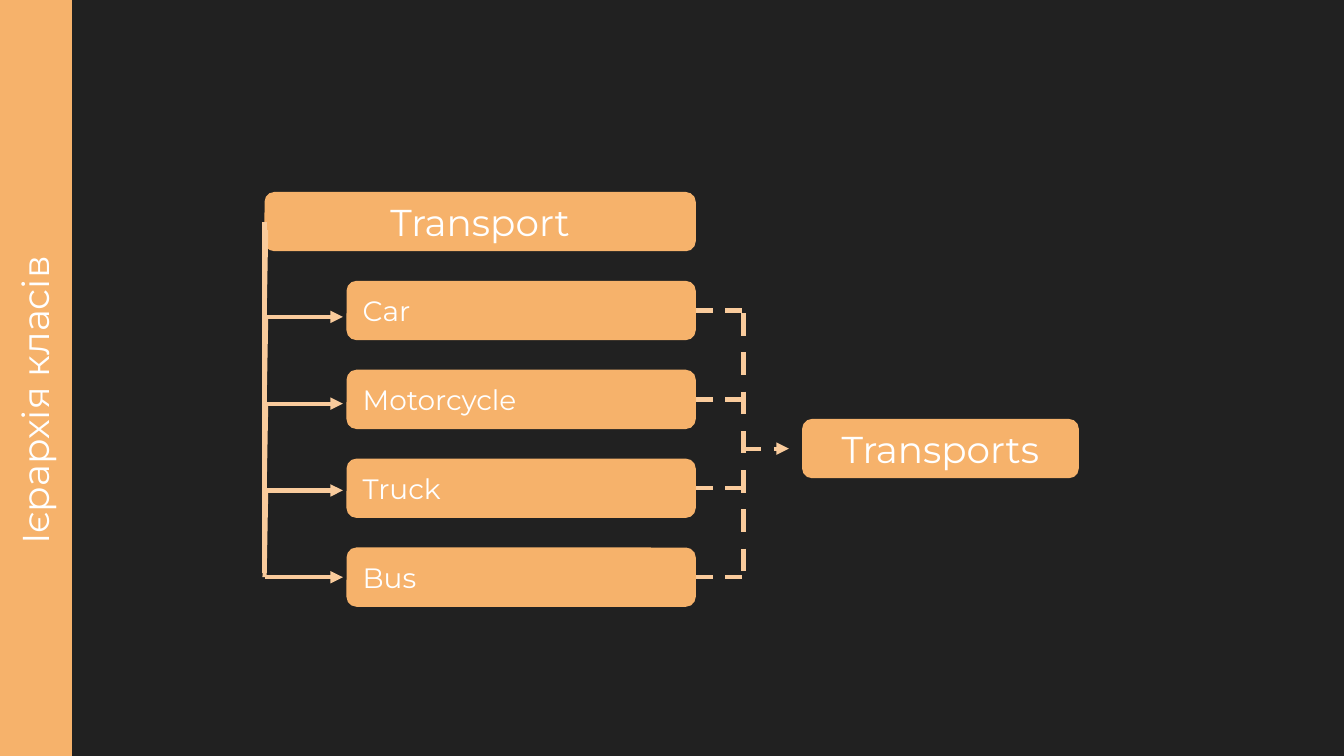
from dataclasses import dataclass
from lxml.etree import SubElement
from pptx import Presentation
from pptx.dml.color import RGBColor
from pptx.enum.dml import MSO_LINE
from pptx.enum.shapes import MSO_CONNECTOR, MSO_SHAPE
from pptx.enum.text import MSO_ANCHOR, PP_ALIGN
from pptx.oxml.ns import qn
from pptx.util import Cm, Pt


@dataclass(frozen=True)
class Theme:
    background: RGBColor = RGBColor(0x21, 0x21, 0x21)
    fill: RGBColor = RGBColor(0xF6, 0xB2, 0x6B)
    line: RGBColor = RGBColor(0xF9, 0xCB, 0x9C)
    text: RGBColor = RGBColor(0xFF, 0xFF, 0xFF)
    font: str = "Montserrat"
    large: float = 20
    small: float = 15
    thin: float = 2.25
    thick: float = 3


THEME = Theme()
BOX_H = 1.12
PITCH = 1.68


def add_text(sp, text, size=THEME.large, align=PP_ALIGN.CENTER, anchor=MSO_ANCHOR.MIDDLE):
    tf = sp.text_frame
    tf.word_wrap = True
    tf.vertical_anchor = anchor
    tf.margin_left = tf.margin_right = tf.margin_top = tf.margin_bottom = Cm(0.25)
    p = tf.paragraphs[0]
    p.alignment = align
    r = p.add_run()
    r.text = text
    r.font.name = THEME.font
    r.font.size = Pt(size)
    r.font.color.rgb = THEME.text


def add_block(s, x, y, w, h, kind=MSO_SHAPE.ROUNDED_RECTANGLE):
    sp = s.shapes.add_shape(kind, Cm(x), Cm(y), Cm(w), Cm(h))
    sp.shadow.inherit = False
    sp.fill.solid()
    sp.fill.fore_color.rgb = THEME.fill
    sp.line.fill.background()
    return sp


def add_line(s, x1, y1, x2, y2, width=THEME.thin, dashed=False, arrow=False):
    c = s.shapes.add_connector(MSO_CONNECTOR.STRAIGHT, Cm(x1), Cm(y1), Cm(x2), Cm(y2))
    c.line.color.rgb = THEME.line
    c.line.width = Pt(width)
    if dashed:
        c.line.dash_style = MSO_LINE.DASH
    if arrow:
        SubElement(c.line._get_or_add_ln(), qn("a:tailEnd"), type="triangle")
    SubElement(c._element.spPr, qn("a:effectLst"))
    return c


def add_sidebar(s, x, y, w, h, title):
    add_block(s, x, y, w, h, MSO_SHAPE.RECTANGLE)
    length, depth = 10.16, 1.37
    left = x + 0.76 - length / 2
    top = y + 7.6 - depth / 2
    sp = s.shapes.add_textbox(Cm(left), Cm(top), Cm(length), Cm(depth))
    sp.rotation = 270
    add_text(sp, title, anchor=MSO_ANCHOR.TOP)


def add_hierarchy(s, x, y, w, parent, children):
    root = add_block(s, x, y, w, BOX_H)
    add_text(root, parent)
    indent, step = 1.55, 1.64
    boxes = []
    for i, name in enumerate(children):
        sp = add_block(s, x + indent, y + (i + 1) * PITCH, w - indent, BOX_H)
        add_text(sp, name, size=THEME.small, align=PP_ALIGN.LEFT)
        boxes.append(sp)
        arrow_y = y + 2.36 + i * step
        add_line(s, x, arrow_y, x + 1.48, arrow_y, arrow=True)
        add_line(s, x, arrow_y, x + 0.03, arrow_y - step)
    trunk = add_line(s, x, arrow_y - 0.08, x, y + BOX_H / 2)
    trunk.end_connect(root, 1)
    return boxes


def add_collection(s, x, y, w, name, members):
    bus_x = x - 1.11
    for sp in members:
        middle = (sp.top + sp.height / 2) / Cm(1)
        right = (sp.left + sp.width) / Cm(1)
        c = add_line(s, right, middle, bus_x - 0.03, middle, dashed=True)
        c.begin_connect(sp, 3)
    first = (members[0].top + members[0].height / 2) / Cm(1)
    add_line(s, bus_x, first + 0.05, bus_x, middle, width=THEME.thick, dashed=True)
    exit_y = y + BOX_H / 2
    add_line(s, bus_x + 0.02, exit_y, x - 0.25, exit_y, dashed=True, arrow=True)
    add_text(add_block(s, x, y, w, BOX_H), name)


def main():
    prs = Presentation()
    prs.slide_width, prs.slide_height = Cm(25.4), Cm(14.29)
    s = prs.slides.add_slide(prs.slide_layouts[6])
    s.background.fill.solid()
    s.background.fill.fore_color.rgb = THEME.background
    add_sidebar(s, -0.1, -0.03, 1.46, 14.6, "Ієрархія класів")
    vehicles = add_hierarchy(s, 5, 3.63, 8.15, "Transport", ["Car", "Motorcycle", "Truck", "Bus"])
    add_collection(s, 15.16, 7.92, 5.23, "Transports", vehicles)
    prs.save("out.pptx")


if __name__ == "__main__":
    main()
